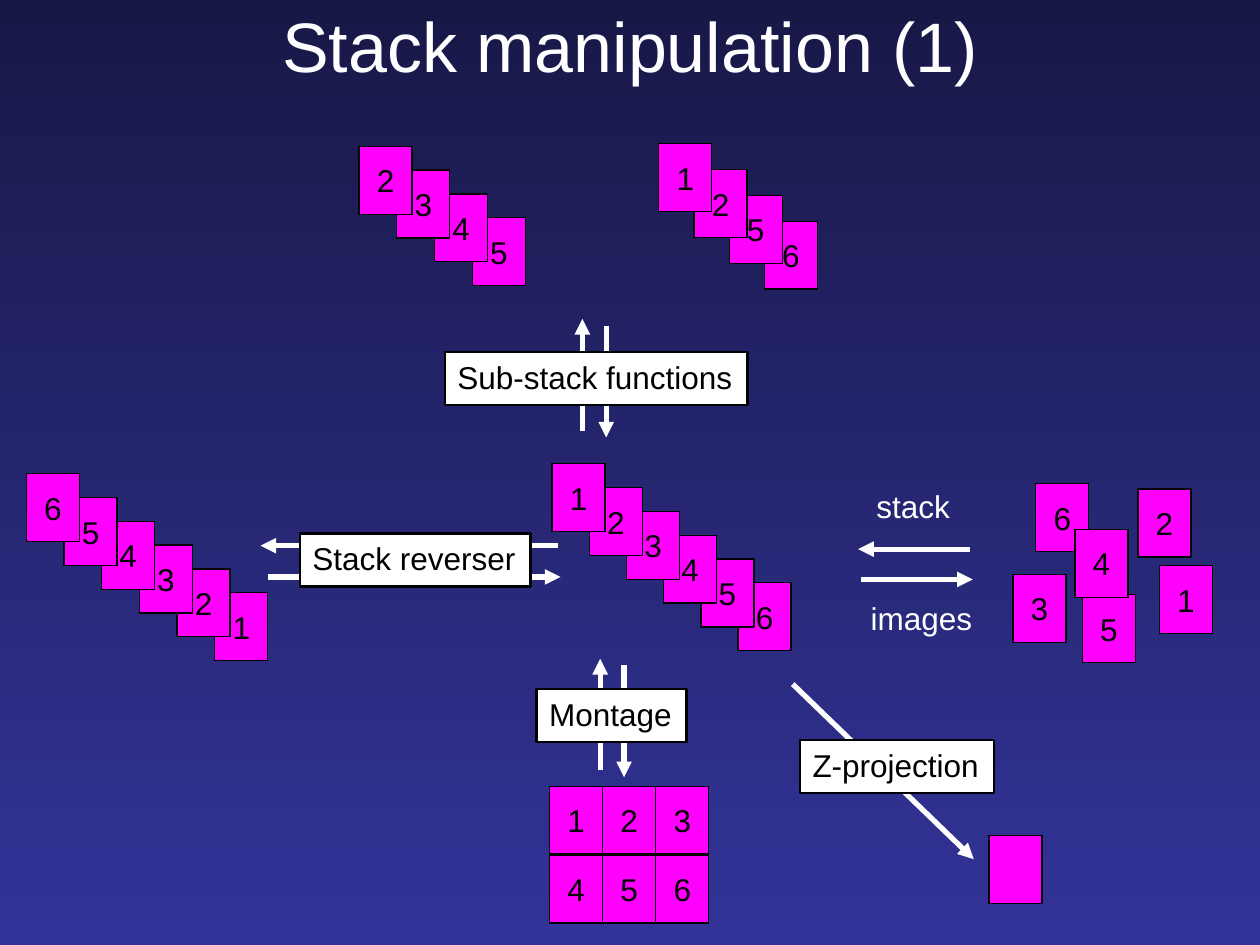
from dataclasses import dataclass

from lxml import etree
from pptx import Presentation
from pptx.dml.color import RGBColor
from pptx.enum.shapes import MSO_CONNECTOR, MSO_SHAPE
from pptx.enum.text import MSO_ANCHOR, MSO_AUTO_SIZE, PP_ALIGN
from pptx.oxml.ns import qn
from pptx.util import Cm, Pt

RECT, LINE = MSO_SHAPE.RECTANGLE, MSO_CONNECTOR.STRAIGHT
MIDDLE, TOP = MSO_ANCHOR.MIDDLE, MSO_ANCHOR.TOP
CENTER, LEFT = PP_ALIGN.CENTER, PP_ALIGN.LEFT
GROW = MSO_AUTO_SIZE.SHAPE_TO_FIT_TEXT


@dataclass
class Theme:
    font: str = "Arial"
    head: int = 40
    body: int = 18
    white: RGBColor = RGBColor(255, 255, 255)
    black: RGBColor = RGBColor(0, 0, 0)
    pink: RGBColor = RGBColor(255, 0, 255)
    dark: RGBColor = RGBColor(0x18, 0x18, 0x47)
    blue: RGBColor = RGBColor(0x33, 0x33, 0x99)


THEME = Theme()

# Content; all lengths in cm
TITLE = "Stack manipulation (1)"
CARD_W, CARD_H = 1.07, 1.37

# Left, top, step right, step down, labels from front to back
STACKS = [
    (0.53, 9.55, 0.76, 0.48, "654321"),
    (11.13, 9.35, 0.75, 0.48, "123456"),
    (7.24, 2.95, 0.76, 0.48, "2345"),
    (13.28, 2.9, 0.71, 0.52, "1256"),
]
LOOSE = [
    ("6", 20.88, 9.75), ("1", 23.37, 11.4), ("5", 21.82, 11.99),
    ("2", 22.94, 9.86), ("3", 20.42, 11.58), ("4", 21.67, 10.67),
]
MONTAGE = ["123", "456"]
GRID_X, GRID_Y, ROW_H = 11.08, 15.85, 1.39
RESULT = ("", 19.94, 16.84)

# From x, y to x, y
ARROWS = [
    (15.98, 13.79, 19.63, 17.32),
    (12.1, 15.52, 12.1, 13.28), (12.58, 13.41, 12.58, 15.67),
    (11.25, 11, 5.25, 11), (5.4, 11.63, 11.3, 11.63),
    (19.56, 11.07, 17.3, 11.07), (17.35, 11.68, 19.61, 11.68),
    (11.74, 8.68, 11.74, 6.43), (12.22, 6.57, 12.22, 8.82),
]

# Text, left, top, width
LABELS = [
    ("Montage", 10.82, 13.89, 3.02),
    ("Stack reverser", 6.05, 10.75, 4.65),
    ("Sub-stack functions", 8.97, 7.1, 6.1),
    ("Z-projection", 16.13, 14.92, 3.91),
]
NOTES = [("images", 17.3, 11.96, 2.65), ("stack", 17.42, 9.7, 2.1)]


def write(shape, text, size, color, align, anchor):
    frame = shape.text_frame
    frame.text = text
    frame.vertical_anchor = anchor
    para = frame.paragraphs[0]
    para.alignment = align
    for run in para.runs:
        run.font.name = THEME.font
        run.font.size = Pt(size)
        run.font.color.rgb = color
    return frame


def add_box(slide, x, y, w, h, fill, width):
    box = slide.shapes.add_shape(RECT, Cm(x), Cm(y), Cm(w), Cm(h))
    box.shadow.inherit = False
    box.fill.solid()
    box.fill.fore_color.rgb = fill
    box.line.color.rgb = THEME.black
    box.line.width = Pt(width)
    return box


def add_card(slide, text, x, y):
    box = add_box(slide, x, y, CARD_W, CARD_H, THEME.pink, 0.75)
    if text:
        frame = write(box, text, THEME.body, THEME.black, CENTER, MIDDLE)
        frame.word_wrap = False


def add_arrow(slide, *ends):
    line = slide.shapes.add_connector(LINE, *map(Cm, ends))
    line.line.color.rgb = THEME.white
    line.line.width = Pt(3)
    tip = etree.SubElement(line.line._get_or_add_ln(), qn("a:tailEnd"))
    tip.set("type", "triangle")
    etree.SubElement(line._element.spPr, qn("a:effectLst"))


def add_text(shape, text, color):
    frame = write(shape, text, THEME.body, color, LEFT, TOP)
    frame.word_wrap = False
    frame.auto_size = GROW


def main():
    deck = Presentation()
    deck.slide_width, deck.slide_height = Cm(25.4), Cm(19.05)
    slide = deck.slides.add_slide(deck.slide_layouts[5])

    # Background, shaded from top to bottom
    fill = slide.background.fill
    fill.gradient()
    fill.gradient_angle = 270
    for stop, color in zip(fill.gradient_stops, (THEME.dark, THEME.blue)):
        stop.color.rgb = color

    # Title
    title = slide.shapes.title
    title.left, title.top = Cm(1.9), Cm(-0.48)
    title.width, title.height = Cm(21.6), Cm(2.74)
    write(title, TITLE, THEME.head, THEME.white, CENTER, MIDDLE)

    # Arrows lie behind the labels
    for ends in ARROWS:
        add_arrow(slide, *ends)

    # Stacks, drawn from the back card to the front one
    for x, y, dx, dy, names in STACKS:
        for i, name in reversed(list(enumerate(names))):
            add_card(slide, name, x + i * dx, y + i * dy)

    # Montage grid
    for r, row in enumerate(MONTAGE):
        for c, name in enumerate(row):
            add_card(slide, name, GRID_X + c * CARD_W, GRID_Y + r * ROW_H)

    # Loose images and the projected one
    for card in LOOSE + [RESULT]:
        add_card(slide, *card)

    # Framed labels and plain notes
    for text, x, y, w in LABELS:
        box = add_box(slide, x, y, w, 1.07, THEME.white, 1.5)
        add_text(box, text, THEME.black)
    for text, x, y, w in NOTES:
        box = slide.shapes.add_textbox(Cm(x), Cm(y), Cm(w), Cm(1.02))
        add_text(box, text, THEME.white)

    deck.save("out.pptx")


if __name__ == "__main__":
    main()
